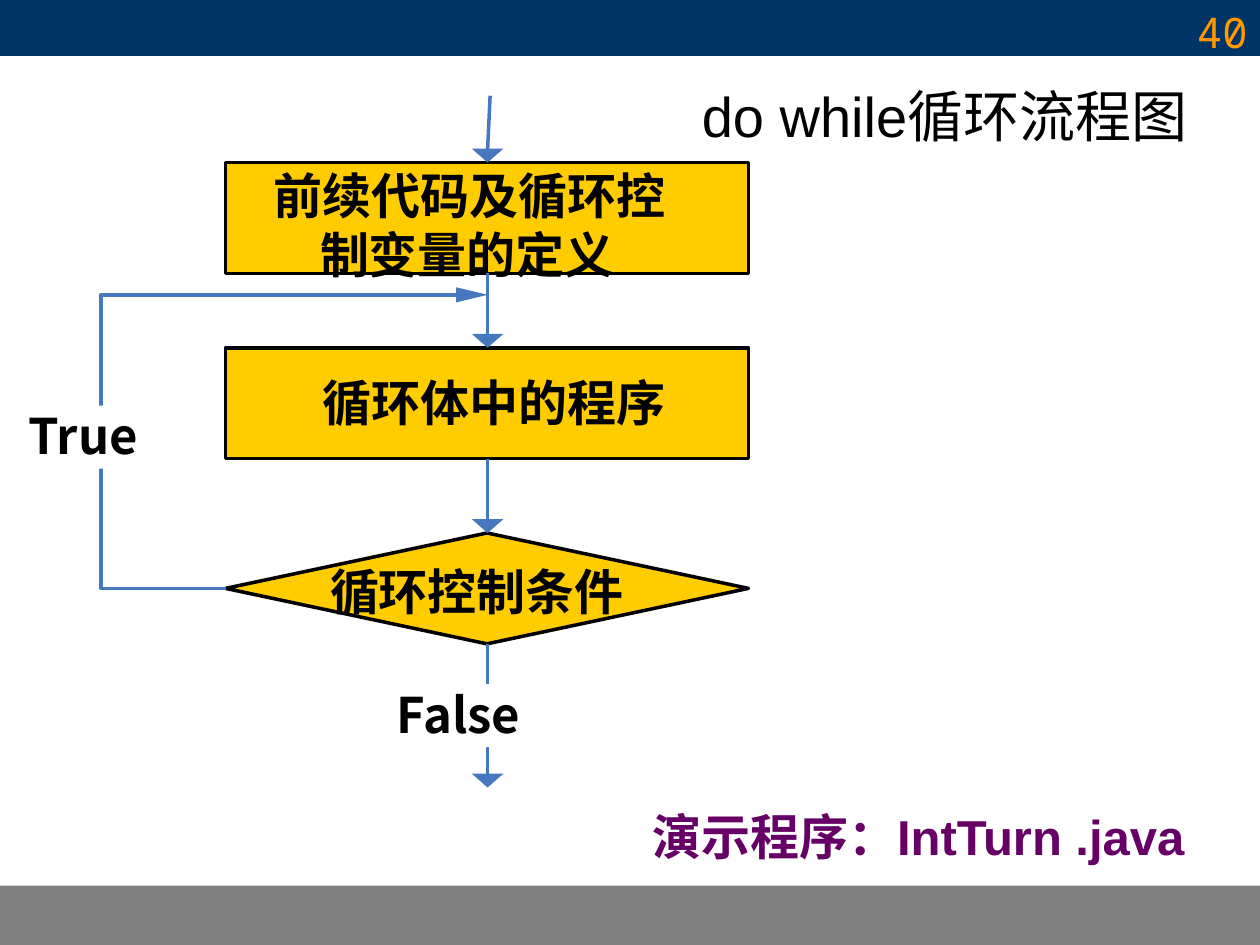
from lxml import etree
from pptx import Presentation
from pptx.dml.color import RGBColor
from pptx.enum.shapes import MSO_CONNECTOR, MSO_SHAPE
from pptx.enum.text import MSO_ANCHOR, MSO_AUTO_SIZE, PP_ALIGN
from pptx.oxml.ns import qn
from pptx.util import Inches, Pt

RECT, DIAMOND = MSO_SHAPE.RECTANGLE, MSO_SHAPE.DIAMOND
STRAIGHT = MSO_CONNECTOR.STRAIGHT
LEFT, CENTER, RIGHT = PP_ALIGN.LEFT, PP_ALIGN.CENTER, PP_ALIGN.RIGHT
TOP, MIDDLE = MSO_ANCHOR.TOP, MSO_ANCHOR.MIDDLE
CJK = "Noto Sans CJK SC"
COLORS = {"navy": "003366", "gray": "808080", "gold": "FFCC00", "blue": "4677BF",
          "black": "000000", "white": "FFFFFF", "purple": "660066", "orange": "FF9900"}
RGB = {name: RGBColor.from_string(code) for name, code in COLORS.items()}


def paint(shape, fill=None, line=None, width=2):
    """Set fill and outline, or none, and drop the shadow."""
    shape.shadow.inherit = False
    if fill:
        shape.fill.solid()
        shape.fill.fore_color.rgb = RGB[fill]
    else:
        shape.fill.background()
    if line:
        shape.line.color.rgb = RGB[line]
        shape.line.width = Pt(width)
    else:
        shape.line.fill.background()


def write(box, text, color, size=28, name=CJK, bold=True,
          align=CENTER, anchor=TOP, inset=(0, 0), wrap=False):
    frame = box.text_frame
    frame.auto_size = MSO_AUTO_SIZE.NONE
    side, edge = map(Inches, inset)
    layout = {"word_wrap": wrap, "vertical_anchor": anchor, "margin_left": side,
              "margin_right": side, "margin_top": edge, "margin_bottom": edge}
    for key, value in layout.items():
        setattr(frame, key, value)
    par = frame.paragraphs[0]
    par.alignment = align
    run = par.add_run()
    run.text = text
    for key, value in {"size": Pt(size), "name": name, "bold": bold}.items():
        setattr(run.font, key, value)
    run.font.color.rgb = RGB[color]
    east = etree.SubElement(run.font._element, qn("a:ea"))
    east.set("typeface", CJK)


deck = Presentation()
deck.slide_width, deck.slide_height = Inches(10), Inches(7.5)
slide = deck.slides.add_slide(deck.slide_layouts[5])
shapes = slide.shapes
pad = (0.1, 0.05)

# Bands, title and captions
for top, high, color, line in [(7.03, 0.47, "gray", None), (0, 0.44, "navy", "navy")]:
    band = shapes.add_shape(RECT, 0, Inches(top), Inches(10), Inches(high))
    paint(band, color, line, 0.75)

title = shapes.title
title.left, title.top = Inches(5.47), Inches(0.52)
title.width, title.height = Inches(4.29), Inches(0.79)
write(title, "do while循环流程图", "black", 32, "Arial", False, LEFT, MIDDLE, pad, True)

demo = shapes.add_textbox(Inches(5.08), Inches(6.35), Inches(4.77), Inches(0.57))
write(demo, "演示程序：IntTurn .java", "purple", name="Arial", align=LEFT, inset=pad, wrap=True)

page = shapes.add_textbox(Inches(7.67), 0, Inches(2.33), Inches(0.52))
write(page, "40", "orange", 24, "Noto Sans Mono", False, RIGHT, inset=pad, wrap=True)

# Flow steps, evenly spaced down the axis
left, wide, high, axis = 1.79, 4.15, 0.88, 3.87
first, step = 1.29, 1.47
tops = [first + step * i for i in range(3)]
for top, kind in zip(tops, (RECT, RECT, DIAMOND)):
    node = shapes.add_shape(kind, Inches(left), Inches(top), Inches(wide), Inches(high))
    paint(node, "gold", "black")

# Downward arrows: start x, start y, tip y
half, head = 0.125, 0.11
tips = []
arrows = [(3.89, 0.76, tops[0]), (axis, tops[0] + high, tops[1]),
          (axis, tops[1] + high, tops[2]), (axis, tops[2] + high, 6.25)]
for x, start, tip in arrows:
    stem = shapes.add_connector(STRAIGHT, Inches(x), Inches(start),
                                Inches(axis), Inches(tip - 0.1))
    stem.line.color.rgb = RGB["blue"]
    stem.line.width = Pt(2)
    etree.SubElement(stem._element.spPr, qn("a:effectLst"))
    base = tip - head
    tips.append([(axis + half, base), (axis, tip), (axis - half, base)])

# Path back to the loop body
back, turn, mid = 0.8, 2.34, tops[2] + high / 2
tips.append([(3.62, turn - 0.06), (axis, turn), (3.62, turn + 0.06)])
loop = [(left, mid), (back, mid), (back, turn), (3.65, turn)]
for points, closed in [(loop, False)] + [(tip, True) for tip in tips]:
    spots = [(Inches(x), Inches(y)) for x, y in points]
    pen = shapes.build_freeform(*spots[0])
    pen.add_line_segments(spots[1:], close=closed)
    if closed:
        paint(pen.convert_to_shape(), "blue")
    else:
        paint(pen.convert_to_shape(), line="blue")

# White gaps behind the branch labels
for x, y, width in [(0.39, 3.22, 0.85), (3.38, 5.43, 0.95)]:
    gap = shapes.add_shape(RECT, Inches(x), Inches(y), Inches(width), Inches(0.5))
    paint(gap, "white")

labels = [("前续代码及循环控", 2.17, 1.31, 3.11), ("制变量的定义", 2.54, 1.78, 2.33),
          ("循环体中的程序", 2.56, 2.96, 2.72), ("循环控制条件", 2.62, 4.46, 2.33),
          ("True", 0.19, 3.22, 0.94), ("False", 3.09, 5.43, 1.1)]
for text, x, y, width in labels:
    label = shapes.add_textbox(Inches(x), Inches(y), Inches(width), Inches(0.47))
    write(label, text, "black")

deck.save("out.pptx")
